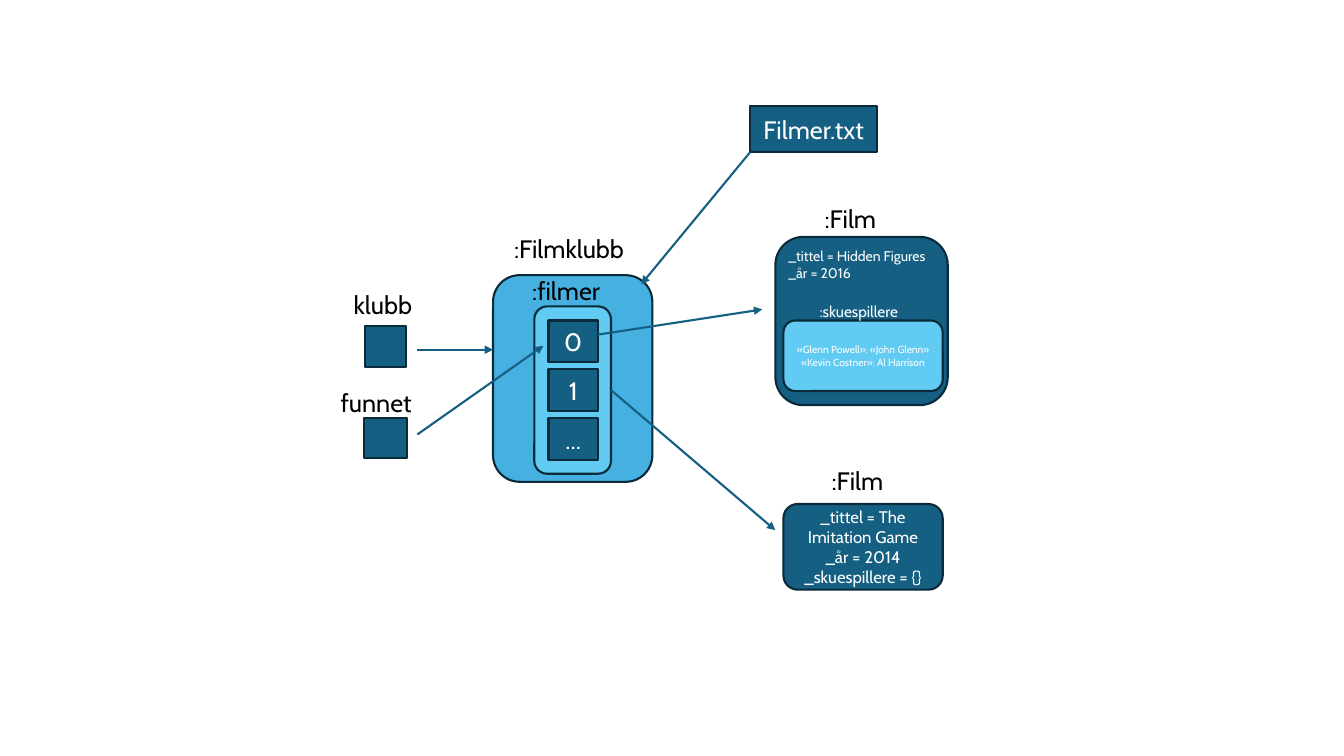
"""Draws the object diagram of a film club and its films."""
from dataclasses import dataclass
from typing import Optional

from lxml import etree
from pptx import Presentation
from pptx import util as u
from pptx.dml.color import RGBColor
from pptx.enum import shapes, text
from pptx.oxml.ns import qn

COLUMNS, ROWS = 133.3, 75
CELL = u.Inches(0.1)
FONT = "Cabin"
DARK, MEDIUM, LIGHT = "156082", "46B1E1", "61CBF4"
OUTLINE, BLACK, WHITE = "092A39", "000000", "FFFFFF"
RECTANGLE = shapes.MSO_SHAPE.RECTANGLE
ROUNDED = shapes.MSO_SHAPE.ROUNDED_RECTANGLE


@dataclass
class Box:
    column: float
    row: float
    width: float
    height: float
    fill: str = DARK
    outline: shapes.MSO_SHAPE = RECTANGLE
    lines: tuple[str, ...] = ()
    size: float = 18
    wrap: bool = True


@dataclass
class Label:
    column: float
    row: float
    width: float
    lines: tuple[str, ...]
    size: float = 18
    color: str = BLACK
    height: float = 4
    wrap: bool = True


@dataclass
class Arrow:
    start: tuple[float, float]
    end: tuple[float, float]
    source: Optional[Box] = None
    side: int = 3


CLUB = Box(48.9, 27.3, 15.8, 20.5, MEDIUM, ROUNDED)
FILM_LIST = Box(53, 30.4, 7.6, 16.6, LIGHT, ROUNDED)
ENTRIES = [Box(54.4, 31.8 + 4.85 * index, 4.9, 4.1, lines=(entry,))
           for index, entry in enumerate(("0", "1", "..."))]

ELEMENTS: list[Box | Label | Arrow] = [
    CLUB,
    FILM_LIST,
    Box(36.2, 32.3, 4.1, 4.1),
    Label(34.1, 28.2, 10, ("klubb",)),
    Label(50, 22.7, 14.7, (":Filmklubb",)),
    Box(74.4, 10.5, 12.6, 4.6, lines=("Filmer.txt",)),
    *ENTRIES,
    Box(76.9, 23.5, 17.1, 16.7, outline=ROUNDED),
    Label(80.8, 19.7, 7.4, (":Film",), wrap=False),
    Label(81.5, 45.7, 7.4, (":Film",), wrap=False),
    Box(77.7, 50, 15.8, 8.5, outline=ROUNDED, size=12,
        lines=("_tittel = The Imitation Game", "_år = 2014", "_skuespillere = {}")),
    Label(51.8, 26.8, 10.7, (":filmer",)),
    Box(77.7, 31.8, 15.8, 7, LIGHT, ROUNDED, size=7.3, wrap=False,
        lines=("«Glenn Powell»: «John Glenn»", "«Kevin Costner»: Al Harrison")),
    Label(77.2, 24.1, 15.8, ("_tittel = Hidden Figures", "_år = 2016"), 10, WHITE, 4.4),
    Label(80.3, 29.5, 10.5, (":skuespillere",), 11, WHITE, 2.9, wrap=False),
    Arrow((41.4, 34.7), (48.9, 34.7)),
    Arrow((59.3, 33.2), (75.6, 30.7)),
    Arrow((60.6, 38.7), (76.9, 52.6), FILM_LIST),
    Arrow((74.4, 15.1), (63.6, 28.2)),
    Box(36.1, 41.5, 4.3, 3.9),
    Label(32.8, 37.9, 9.1, ("funnet",), wrap=False),
    Arrow((41.4, 43.1), (53.9, 34.3)),
]


def rgb(color: str) -> RGBColor:
    return RGBColor.from_string(color)


def cells(*counts: float) -> list[int]:
    return [round(count * CELL) for count in counts]


def write(shape, item: Box | Label, color: str, alignment) -> None:
    frame = shape.text_frame
    frame.word_wrap = item.wrap
    for index, line in enumerate(item.lines):
        paragraph = frame.add_paragraph() if index else frame.paragraphs[0]
        paragraph.alignment = alignment
        run = paragraph.add_run()
        run.text = line
        run.font.name = FONT
        run.font.size = u.Pt(item.size)
        run.font.color.rgb = rgb(color)


def draw_box(slide, box: Box):
    shape = slide.shapes.add_shape(
        box.outline, *cells(box.column, box.row, box.width, box.height))
    shape.shadow.inherit = False
    shape.fill.solid()
    shape.fill.fore_color.rgb = rgb(box.fill)
    shape.line.color.rgb = rgb(OUTLINE)
    shape.line.width = u.Pt(1.5)
    shape.text_frame.vertical_anchor = text.MSO_ANCHOR.MIDDLE
    write(shape, box, WHITE, text.PP_ALIGN.CENTER)
    return shape


def draw_label(slide, label: Label) -> None:
    shape = slide.shapes.add_textbox(
        *cells(label.column, label.row, label.width, label.height))
    write(shape, label, label.color, text.PP_ALIGN.LEFT)


def draw_arrow(slide, arrow: Arrow, source=None) -> None:
    connector = slide.shapes.add_connector(
        shapes.MSO_CONNECTOR.STRAIGHT, *cells(*arrow.start, *arrow.end))
    if source is not None:
        connector.begin_connect(source, arrow.side)
    connector.line.color.rgb = rgb(DARK)
    connector.line.width = u.Pt(1.5)
    etree.SubElement(connector.line._get_or_add_ln(), qn("a:tailEnd"), type="triangle")
    etree.SubElement(connector._element.spPr, qn("a:effectLst"))


def main() -> None:
    presentation = Presentation()
    presentation.slide_width, presentation.slide_height = cells(COLUMNS, ROWS)
    slide = presentation.slides.add_slide(presentation.slide_layouts[6])
    drawn = {}
    for element in ELEMENTS:
        if isinstance(element, Box):
            drawn[id(element)] = draw_box(slide, element)
        elif isinstance(element, Label):
            draw_label(slide, element)
        else:
            draw_arrow(slide, element, drawn.get(id(element.source)))
    presentation.save("out.pptx")


if __name__ == "__main__":
    main()
